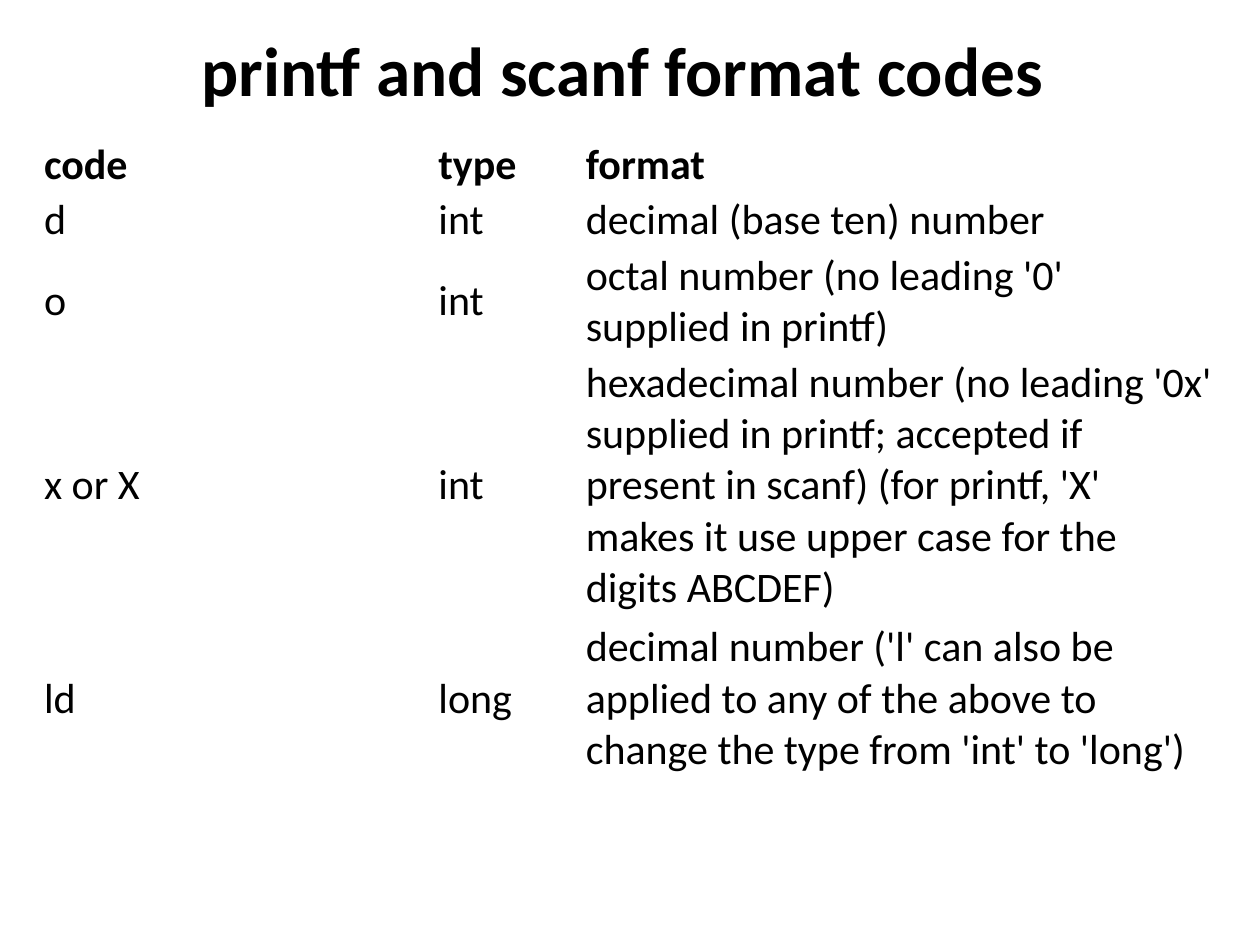
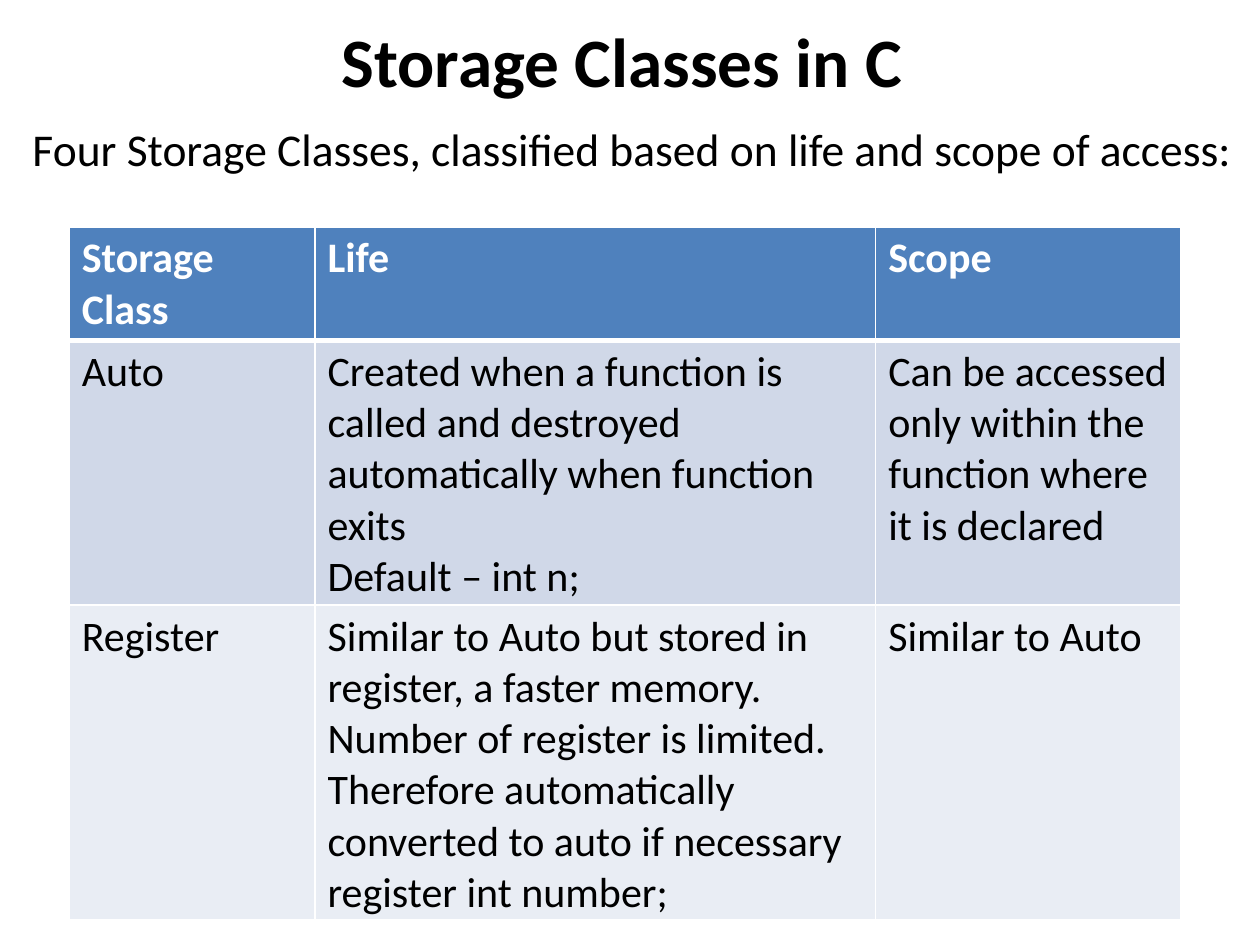
from dataclasses import dataclass

from lxml.etree import SubElement
from pptx import Presentation
from pptx.dml.color import RGBColor as Color
from pptx.enum.text import MSO_ANCHOR as Anchor, PP_ALIGN as Align
from pptx.oxml.ns import qn
from pptx.util import Inches, Pt

WIDTH, HEIGHT = 10, 7.5
FONT = "Calibri"
COLOURS = {
    "ink": "000000",
    "paper": "FFFFFF",
    "header": "4F81BD",
    "odd": "D0D8E8",
    "even": "E9EDF4",
}
TITLE_SIZE, LEAD_SIZE, TABLE_SIZE = 39.6, 26, 24
THIN, THICK = 1, 3

FORMAT_CODES = [
    ["code", "type", "format"],
    ["d", "int", "decimal (base ten) number"],
    ["o", "int", "octal number (no leading '0' supplied in printf)"],
    ["x or X", "int",
     "hexadecimal number (no leading '0x' supplied in printf; accepted if "
     "present in scanf) (for printf, 'X' makes it use upper case for the "
     "digits ABCDEF)"],
    ["ld", "long",
     "decimal number ('l' can also be applied to any of the above to change "
     "the type from 'int' to 'long')"],
]
STORAGE_CLASSES = [
    ["Storage Class", "Life", "Scope"],
    ["Auto",
     "Created when a function is called and destroyed\n"
     "automatically when function exits\n"
     "Default – int n;",
     "Can be accessed only within the function where it is declared"],
    ["Register",
     "Similar to Auto but stored in register, a faster memory. Number of "
     "register is limited. Therefore automatically converted to auto if "
     "necessary\n"
     "register int number;",
     "Similar to Auto"],
]


@dataclass
class Box:
    """A rectangle measured in inches."""
    left: float
    top: float
    width: float
    height: float

    def share(self, left, top, width, height):
        """Return the part of this box given by shares of its size."""
        return Box(self.left + left * self.width, self.top + top * self.height,
                   width * self.width, height * self.height)

    def lengths(self):
        """Return left, top, width and height as slide lengths."""
        return [Inches(n) for n in (self.left, self.top, self.width, self.height)]


def write(frame, text, size, colour="ink", bold=False, align=Align.LEFT, spacing=None):
    """Fill a text frame with one styled paragraph for each line of text."""
    frame.text = text
    frame.word_wrap = True
    for para in frame.paragraphs:
        para.alignment = align
        para.line_spacing = spacing
        para.font.name = FONT
        para.font.size = Pt(size)
        para.font.bold = bold
        para.font.color.rgb = Color.from_string(COLOURS[colour])


def add_title(page, box, text):
    """Write the bold centred slide title."""
    frame = page.shapes.add_textbox(*box.lengths()).text_frame
    frame.vertical_anchor = Anchor.MIDDLE
    write(frame, text, TITLE_SIZE, bold=True, align=Align.CENTER)


def add_lead(page, box, text):
    """Write the sentence that introduces a table."""
    frame = page.shapes.add_textbox(*box.lengths()).text_frame
    write(frame, text, LEAD_SIZE, spacing=1.3)


def add_grid(page, box, columns, rows, texts, style_cell):
    """Add a table with proportional columns and rows, styling every cell."""
    table = page.shapes.add_table(len(rows), len(columns), *box.lengths()).table
    table.horz_banding = False
    for column, part in zip(table.columns, columns):
        column.width = Inches(box.width * part / sum(columns))
    for row, part in zip(table.rows, rows):
        row.height = Inches(box.height * part / sum(rows))
    for i, line in enumerate(texts):
        for j, text in enumerate(line):
            style_cell(table.cell(i, j), i, text)


def style_plain_cell(cell, row, text):
    """Style a cell of the unfilled table."""
    cell.fill.background()
    cell.vertical_anchor = Anchor.MIDDLE
    cell.margin_left = cell.margin_right = Inches(0.04)
    cell.margin_top = cell.margin_bottom = Inches(0.02)
    write(cell.text_frame, text, TABLE_SIZE, bold=row == 0)
    add_borders(cell, THIN, THIN)


def style_banded_cell(cell, row, text):
    """Style a cell of the table with a header and alternating bands."""
    header = row == 0
    band = "header" if header else ("even", "odd")[row % 2]
    cell.fill.solid()
    cell.fill.fore_color.rgb = Color.from_string(COLOURS[band])
    write(cell.text_frame, text, TABLE_SIZE, "paper" if header else "ink", header)
    add_borders(cell, THICK if row == 1 else THIN, THICK if header else THIN)


def add_borders(cell, top, bottom):
    """Draw the four white edges of a cell."""
    props = cell._tc.get_or_add_tcPr()
    edges = {"L": THIN, "R": THIN, "T": top, "B": bottom}
    for place, (side, width) in enumerate(edges.items()):
        line = SubElement(props, qn(f"a:ln{side}"), w=str(Pt(width)))
        fill = SubElement(line, qn("a:solidFill"))
        SubElement(fill, qn("a:srgbClr"), val=COLOURS["paper"])
        props.insert(place, line)


def build_format_codes(page, box):
    """Build the slide of printf and scanf format codes."""
    add_title(page, box.share(0.019, 0.021, 0.95, 0.104), "printf and scanf format codes")
    add_grid(page, box.share(0.031, 0.145, 0.938, 0.682), (3.13, 1.17, 5.08),
             (0.44, 0.44, 0.85, 2.07, 1.31), FORMAT_CODES, style_plain_cell)


def build_storage_classes(page, box):
    """Build the slide of storage classes."""
    add_title(page, box.share(0.019, 0.011, 0.95, 0.104), "Storage Classes in C")
    add_lead(page, box.share(0.016, 0.104, 0.977, 0.089),
             "Four Storage Classes, classified based on life and scope of access:")
    add_grid(page, box.share(0.055, 0.24, 0.882, 0.733), (1.95, 4.45, 2.42),
             (0.9, 2.1, 2.5), STORAGE_CLASSES, style_banded_cell)


def main():
    """Build and save the deck."""
    deck = Presentation()
    deck.slide_width, deck.slide_height = Inches(WIDTH), Inches(HEIGHT)
    for build in (build_format_codes, build_storage_classes):
        build(deck.slides.add_slide(deck.slide_layouts[6]), Box(0, 0, WIDTH, HEIGHT))
    deck.save("out.pptx")


if __name__ == "__main__":
    main()
